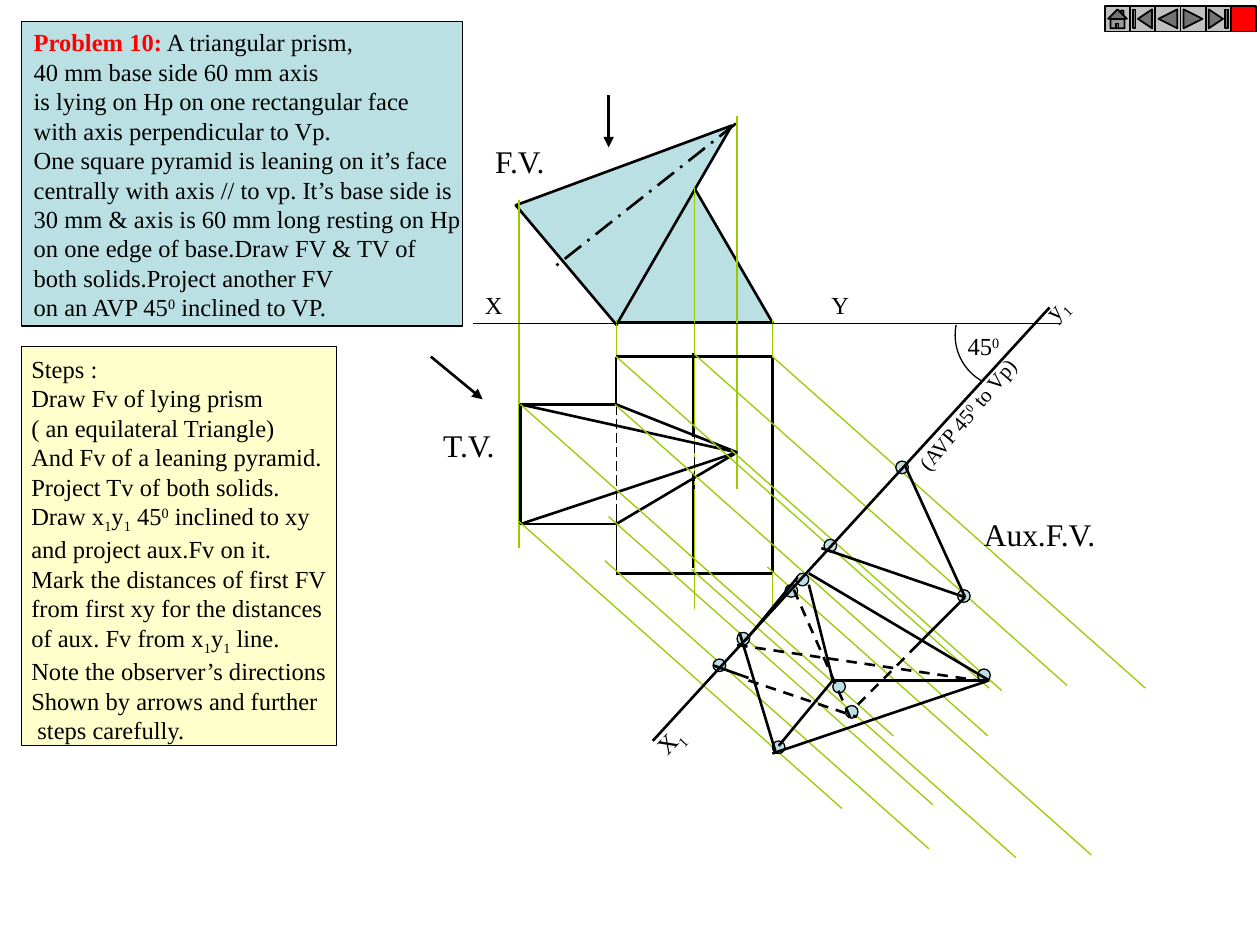
from lxml.etree import SubElement
from pptx import Presentation
from pptx.dml.color import RGBColor
from pptx.enum.dml import MSO_LINE as Dash
from pptx.enum.shapes import MSO_CONNECTOR as Connector, MSO_SHAPE as Shape
from pptx.enum.text import MSO_AUTO_SIZE as AutoSize
from pptx.oxml.ns import qn
from pptx.util import Pt

BLACK = RGBColor(0x00, 0x00, 0x00)
RED = RGBColor(0xFF, 0x00, 0x00)
GREEN = RGBColor(0x99, 0xCC, 0x00)
BLUE = RGBColor(0xBB, 0xE0, 0xE3)
YELLOW = RGBColor(0xFF, 0xFF, 0xCC)
GREY = RGBColor(0xC0, 0xC0, 0xC0)
FONT = "Times New Roman"
BASELINES = {"^": "30000", "_": "-25000"}
PROJECTOR_SLOPE = 0.889
THIN, THICK = 0.75, 1.5

PROBLEM = [
    "*Problem 10:| A triangular prism,",
    "40 mm base side 60 mm axis",
    "is lying on Hp on one rectangular face",
    "with axis perpendicular to Vp.",
    "One square pyramid is leaning on it’s face",
    "centrally with axis // to vp. It’s base side is",
    "30 mm & axis is 60 mm long resting on Hp",
    "on one edge of base.Draw FV & TV of",
    "both solids.Project another FV",
    "on an AVP 45|^0| inclined to VP.",
]
STEPS = [
    "Steps :",
    "Draw Fv of lying prism",
    "( an equilateral Triangle)",
    "And Fv of a leaning pyramid.",
    "Project Tv of both solids.",
    "Draw x|_1|y|_1| 45|^0| inclined to xy",
    "and project aux.Fv on it.",
    "Mark the distances of first FV",
    "from first xy for the distances",
    "of aux. Fv from x|_1|y|_1| line.",
    "Note the observer’s directions",
    "Shown by arrows and further",
    " steps carefully.",
]


def add_line(page, start, end, color=BLACK, width=THICK, dash=None, arrow=False):
    line = page.shapes.add_connector(Connector.STRAIGHT, *map(Pt, (*start, *end)))
    line.line.color.rgb = color
    line.line.width = Pt(width)
    if dash:
        line.line.dash_style = dash
    properties = line._element.spPr
    if arrow:
        SubElement(properties.find(qn("a:ln")), qn("a:tailEnd"), type="triangle")
    SubElement(properties, qn("a:effectLst"))


def add_figure(page, kind, place, fill=None, width=THIN, rotation=0):
    figure = page.shapes.add_shape(kind, *map(Pt, place))
    figure.shadow.inherit = False
    figure.rotation = rotation
    if fill is None:
        figure.fill.background()
    else:
        figure.fill.solid()
        figure.fill.fore_color.rgb = fill
    figure.line.color.rgb = BLACK
    figure.line.width = Pt(width)
    return figure


def add_text(page, place, rows, size=14, rotation=0, wrap=False):
    box = page.shapes.add_textbox(*map(Pt, place))
    box.rotation = rotation
    frame = box.text_frame
    frame.word_wrap = wrap
    frame.auto_size = AutoSize.SHAPE_TO_FIT_TEXT
    for index, row in enumerate(rows):
        para = frame.add_paragraph() if index else frame.paragraphs[0]
        para.font.name = FONT
        para.font.size = Pt(size)
        para.font.color.rgb = BLACK
        for piece in row.split("|"):
            span = para.add_run()
            span.text = piece.lstrip("*^_")
            if piece[0] in BASELINES:
                span._r.get_or_add_rPr().set("baseline", BASELINES[piece[0]])
            elif piece[0] == "*":
                span.font.bold = True
                span.font.color.rgb = RED


def draw_front_view(page):
    add_figure(page, Shape.ISOSCELES_TRIANGLE, (352.1, 107.3, 89.3, 76.9), BLUE, THICK)
    add_figure(page, Shape.ISOSCELES_TRIANGLE, (326.2, 49.7, 89.3, 123.8), BLUE, THICK, 49.9)
    add_line(page, (420.5, 70.6), (316.8, 152.6), dash=Dash.LONG_DASH_DOT)
    for x, top, bottom in [(296.6, 114.5, 313.2), (352.1, 182.9, 231.1), (421.2, 66.2, 279.4),
                           (441.4, 182.9, 347.8), (396.7, 107.3, 347.8)]:
        add_line(page, (x, top), (x, bottom), GREEN, THIN)
    add_line(page, (270, 185), (606.2, 185), width=THIN)


def draw_top_view(page):
    apex, upper, lower = (421.2, 258.5), 231.1, 299.5
    outer, left, middle, right = 297.4, 352.1, 396, 441.4
    top, bottom = 203.8, 327.6
    for y in (upper, lower):
        add_line(page, apex, (outer, y))
        add_line(page, apex, (left, y))
        add_line(page, (outer, y), (left, y))
    add_line(page, (outer, upper), (outer, lower))
    for y in (top, bottom):
        add_line(page, (left, y), (right, y))
    for x, start, end, width, dash in [
        (left, top, upper, THICK, None),
        (left, upper, lower, THIN, Dash.LONG_DASH),
        (left, 293, bottom, THIN, None),
        (middle, 201.6, 249.8, THICK, None),
        (middle + 0.7, 244.8, 279.4, THIN, Dash.LONG_DASH),
        (middle, 270, 324.7, THICK, None),
        (right, top, bottom, THICK, None),
    ]:
        add_line(page, (x, start), (x, end), width=width, dash=dash)


def draw_projectors(page):
    starts_by_run = {
        185.2: [(295.9, 297.4), (347.8, 295.2), (345.6, 320.4), (395.3, 325.4), (438.5, 324)],
        213.1: [(297.4, 231.1), (351.4, 231.1), (396.7, 202.3), (441.4, 203.8), (352.1, 203.8)],
        154.8: [(417.6, 257)],
    }
    for run, starts in starts_by_run.items():
        for x, y in starts:
            add_line(page, (x, y), (x + run, y + run * PROJECTOR_SLOPE), GREEN, THIN)


def draw_auxiliary_view(page):
    for x, y in [(421.2, 361.4), (455, 327.6), (441.4, 423.4), (475.9, 388.8),
                 (558.7, 382.3), (511.9, 263.5), (470.9, 308.2), (448.6, 334.1),
                 (407.5, 376.6), (483.1, 403.2), (547.2, 337)]:
        add_figure(page, Shape.OVAL, (x, y, 7.2, 7.2), BLUE)
    prism_corner, pyramid_corner, far_corner = (475.9, 388.8), (551.5, 341.3), (565.2, 388.8)
    hidden_start = (524.2, 368.6)
    for start, end in [
        (prism_corner, far_corner),
        ((462.2, 334.1), prism_corner),
        (prism_corner, (445, 426.2)),
        ((469.4, 313.2), pyramid_corner),
        ((517, 265.7), pyramid_corner),
        (pyramid_corner, hidden_start),
        ((407.5, 380.2), (427.7, 387.4)),
        ((422.6, 361.4), (443.5, 430.6)),
        ((441.4, 430.6), far_corner),
        ((462.2, 327.6), far_corner),
        ((455.8, 329.8), (426.2, 365.8)),
        ((599.8, 175.7), (373, 423.4)),
    ]:
        add_line(page, start, end)
    for start, end in [
        ((421.2, 368.6), (558.7, 388.8)),
        ((453.6, 337), (486, 410.4)),
        ((427.7, 388.8), (489.6, 409.7)),
        (hidden_start, (489.6, 403.2)),
    ]:
        add_line(page, start, end, dash=Dash.DASH)


def draw_angle(page):
    arc = add_figure(page, Shape.ARC, (545.8, 161.3, 60.4, 60.4))
    for index, degrees in enumerate((118.4, 191)):
        arc.adjustments[index] = degrees * 0.6


def draw_labels(page):
    add_line(page, (347.8, 54), (347.8, 84.2), arrow=True)
    add_line(page, (246.2, 203.8), (275.8, 228.2), arrow=True)
    for text, place, size, rotation in [
        ("45|^0", (545.8, 185.8, 33.1, 23.8), 14, 0),
        ("y|_1", (590.4, 164.2, 25.9, 23.8), 14, 314.7),
        ("X|_1", (367.9, 411.1, 29.5, 23.8), 14, 313.1),
        ("X", (270, 162, 24.5, 23.8), 14, 0),
        ("Y", (468, 162, 24.5, 23.8), 14, 0),
        ("F.V.", (275.8, 77.8, 46.8, 28.8), 18, 0),
        ("T.V.", (246.2, 239.8, 47.5, 28.8), 18, 0),
        ("Aux.F.V.", (555.1, 290.9, 82.1, 28.8), 18, 0),
    ]:
        add_text(page, place, [text], size, rotation)
    add_text(page, (501.1, 214.6, 122.4, 21.6), ["(AVP 45|^0| to Vp)"], 12, 310.3, wrap=True)


def draw_panels(page):
    add_figure(page, Shape.RECTANGLE, (12.2, 12.2, 252, 174.2), BLUE)
    add_text(page, (12.2, 12.2, 261.4, 175), PROBLEM)
    add_figure(page, Shape.RECTANGLE, (12.2, 198, 180, 228.2), YELLOW)
    add_text(page, (10.8, 198.7, 186.5, 224.6), STEPS)


def draw_navigation(page):
    buttons = [Shape.ACTION_BUTTON_HOME, Shape.ACTION_BUTTON_BEGINNING,
               Shape.ACTION_BUTTON_BACK_OR_PREVIOUS, Shape.ACTION_BUTTON_FORWARD_OR_NEXT,
               Shape.ACTION_BUTTON_END, Shape.ACTION_BUTTON_CUSTOM]
    side = 14.4
    for index, kind in enumerate(buttons):
        fill = RED if kind == Shape.ACTION_BUTTON_CUSTOM else GREY
        add_figure(page, kind, (631.4 + index * side, 3.6, side, side), fill, 1)


def main():
    deck = Presentation()
    deck.slide_width, deck.slide_height = Pt(720), Pt(540)
    page = deck.slides.add_slide(deck.slide_layouts[6])
    for draw in (draw_front_view, draw_top_view, draw_projectors, draw_auxiliary_view,
                 draw_angle, draw_labels, draw_panels, draw_navigation):
        draw(page)
    deck.save("out.pptx")


if __name__ == "__main__":
    main()
